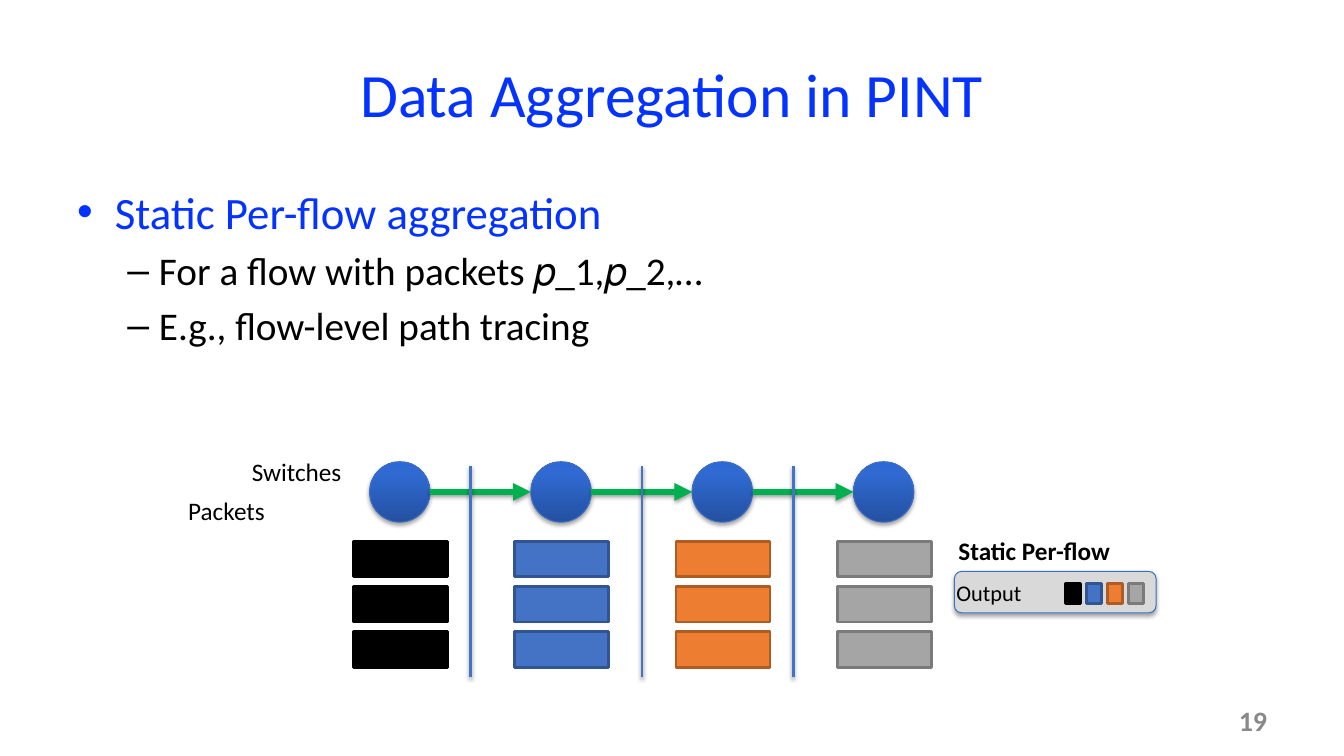
from copy import deepcopy

from lxml import etree
from pptx import Presentation
from pptx import util as u
from pptx.dml import color
from pptx.enum import shapes, text
from pptx.oxml import ns

ACCENT, BLACK, RIM = "0432FF", "000000", "3F6FC3"
HOPS = [("000000", "000000"), ("4472C4", "325491"), ("ED7D31", "AF5C24"), ("A5A5A5", "7A7A7A")]
BALL_STOPS = [(0, "2451A1"), (0.8, "2F69D1"), (1, "2C69D5")]
SHAPE_SHADOW, LINE_SHADOW = (35, 1.8), (38, 1.6)


def rgb(value):
    return color.RGBColor.from_string(value)


def apply(target, values):
    for name, value in values.items():
        setattr(target, name, value)


def add_xml(parent, tag, **attributes):
    return etree.SubElement(parent, ns.qn(tag), {k: str(v) for k, v in attributes.items()})


def cast_shadow(shape, opacity, distance):
    properties = shape._element.spPr
    for effects in properties.findall(ns.qn("a:effectLst")):
        properties.remove(effects)
    outer = add_xml(add_xml(properties, "a:effectLst"), "a:outerShdw", blurRad=u.Pt(3.1),
                    dist=u.Pt(distance), dir=5400000, rotWithShape=0)
    add_xml(add_xml(outer, "a:srgbClr", val=BLACK), "a:alpha", val=opacity * 1000)


class SlideBuilder:
    def __init__(self, slide, font="Calibri"):
        self.slide, self.font = slide, font

    def style(self, paragraph, size, ink=BLACK, **values):
        apply(paragraph.font, {"name": self.font, "size": u.Pt(size), **values})
        paragraph.font.color.rgb = rgb(ink)

    def text(self, box, words, size, ink=BLACK, align="LEFT", anchor="TOP", wrap=True, bold=False):
        shape = self.slide.shapes.add_textbox(*map(u.Pt, box))
        frame = shape.text_frame
        apply(frame, {"word_wrap": wrap, "vertical_anchor": text.MSO_ANCHOR[anchor]})
        paragraph = frame.paragraphs[0]
        paragraph.text = words
        paragraph.alignment = text.PP_ALIGN[align]
        self.style(paragraph, size, ink, bold=bold)

    def bullets(self, box, items):
        """Each item is (level, words, size, colour)."""
        frame = self.slide.shapes.add_textbox(*map(u.Pt, box)).text_frame
        frame.word_wrap = True
        for index, (level, words, size, ink) in enumerate(items):
            paragraph = frame.add_paragraph() if index else frame.paragraphs[0]
            apply(paragraph, {"text": words, "level": level,
                              "space_before": u.Pt(0.2 * size if index else 0)})
            left, hang, mark = [(27, 27, "•"), (58.5, 22.5, "–")][level]
            properties = paragraph._p.get_or_add_pPr()
            properties.set("marL", str(u.Pt(left)))
            properties.set("indent", str(-u.Pt(hang)))
            add_xml(properties, "a:buFont", typeface="Arial")
            add_xml(properties, "a:buChar", char=mark)
            self.style(paragraph, size, ink)

    def shape(self, kind, box, fill, line, width, shadow=None):
        shape = self.slide.shapes.add_shape(shapes.MSO_SHAPE[kind], *map(u.Pt, box))
        shape.shadow.inherit = False
        if fill:
            shape.fill.solid()
            shape.fill.fore_color.rgb = rgb(fill)
        shape.line.color.rgb = rgb(line)
        shape.line.width = u.Pt(width)
        if shadow:
            cast_shadow(shape, *shadow)
        return shape

    def ball(self, box):
        shape = self.shape("OVAL", box, None, RIM, 0.75, SHAPE_SHADOW)
        shape.fill.gradient()
        shape.fill.gradient_angle = 90
        stop_list = shape._element.spPr.find(".//" + ns.qn("a:gsLst"))
        stop_list.append(deepcopy(stop_list[-1]))
        for stop, (position, ink) in zip(shape.fill.gradient_stops, BALL_STOPS):
            stop.position = position
            stop.color.rgb = rgb(ink)

    def line(self, start, end, ink, width, arrow=False):
        line = self.slide.shapes.add_connector(shapes.MSO_CONNECTOR.STRAIGHT,
                                               *map(u.Pt, (*start, *end)))
        line.line.color.rgb = rgb(ink)
        line.line.width = u.Pt(width)
        if arrow:
            add_xml(line.line._get_or_add_ln(), "a:tailEnd", type="triangle")
        cast_shadow(line, *LINE_SHADOW)


def main():
    presentation = Presentation()
    apply(presentation, {"slide_width": u.Pt(960), "slide_height": u.Pt(540)})
    builder = SlideBuilder(presentation.slides.add_slide(presentation.slide_layouts[6]))

    builder.text((48, 21.6, 864, 90), "Data Aggregation in PINT", 44, ACCENT, "CENTER", "MIDDLE")
    builder.bullets((48, 128.2, 864, 356.4), [
        (0, "Static Per-flow aggregation", 32, ACCENT),
        (1, "For a flow with packets 𝑝_1,𝑝_2,…", 28, BLACK),
        (1, "E.g., flow-level path tracing", 28, BLACK),
    ])
    builder.text((688.3, 500.4, 223.9, 28.8), "19", 20, "898989", "RIGHT", "MIDDLE", bold=True)

    pitch, ball_left, ball_size, ball_middle = 115.2, 264, 43.2, 351.4
    for hop in range(len(HOPS)):
        builder.ball((ball_left + hop * pitch, ball_middle - ball_size / 2, ball_size, ball_size))
    for hop in range(len(HOPS) - 1):
        start = ball_left + hop * pitch + ball_size
        builder.line((start, ball_middle), (start + pitch - ball_size, ball_middle),
                     "00B050", 4.25, arrow=True)

    builder.text((127.4, 350.6, 96.5, 28.8), "Packets", 18)
    builder.text((172.8, 322.6, 96.5, 28.8), "Switches", 18)
    for x in (336.2, 458.6, 566.6):
        builder.line((x, 333.2), (x, 483.8), "4472C4", 2)

    output = builder.shape("ROUNDED_RECTANGLE", (681.8, 408.2, 144, 29.5), "D9D9D9", RIM, 0.75,
                           SHAPE_SHADOW)
    frame = output.text_frame
    apply(frame, {"margin_left": 0, "margin_right": 0, "vertical_anchor": text.MSO_ANCHOR.MIDDLE})
    paragraph = frame.paragraphs[0]
    apply(paragraph, {"text": "Output", "alignment": text.PP_ALIGN.LEFT})
    builder.style(paragraph, 16)
    builder.text((677.5, 378.7, 123.8, 28.8), "Static Per-flow", 18, wrap=False, bold=True)

    for hop, (fill, line) in enumerate(HOPS):
        builder.shape("RECTANGLE", (761 + hop * 15, 416.9, 10.8, 14.4), fill, line, 2)
        for packet in range(3):
            builder.shape("RECTANGLE", (252.4 + hop * pitch, 386.6 + packet * 32.4, 67.2, 25.4),
                          fill, line, 2)
    presentation.save("out.pptx")


if __name__ == "__main__":
    main()
